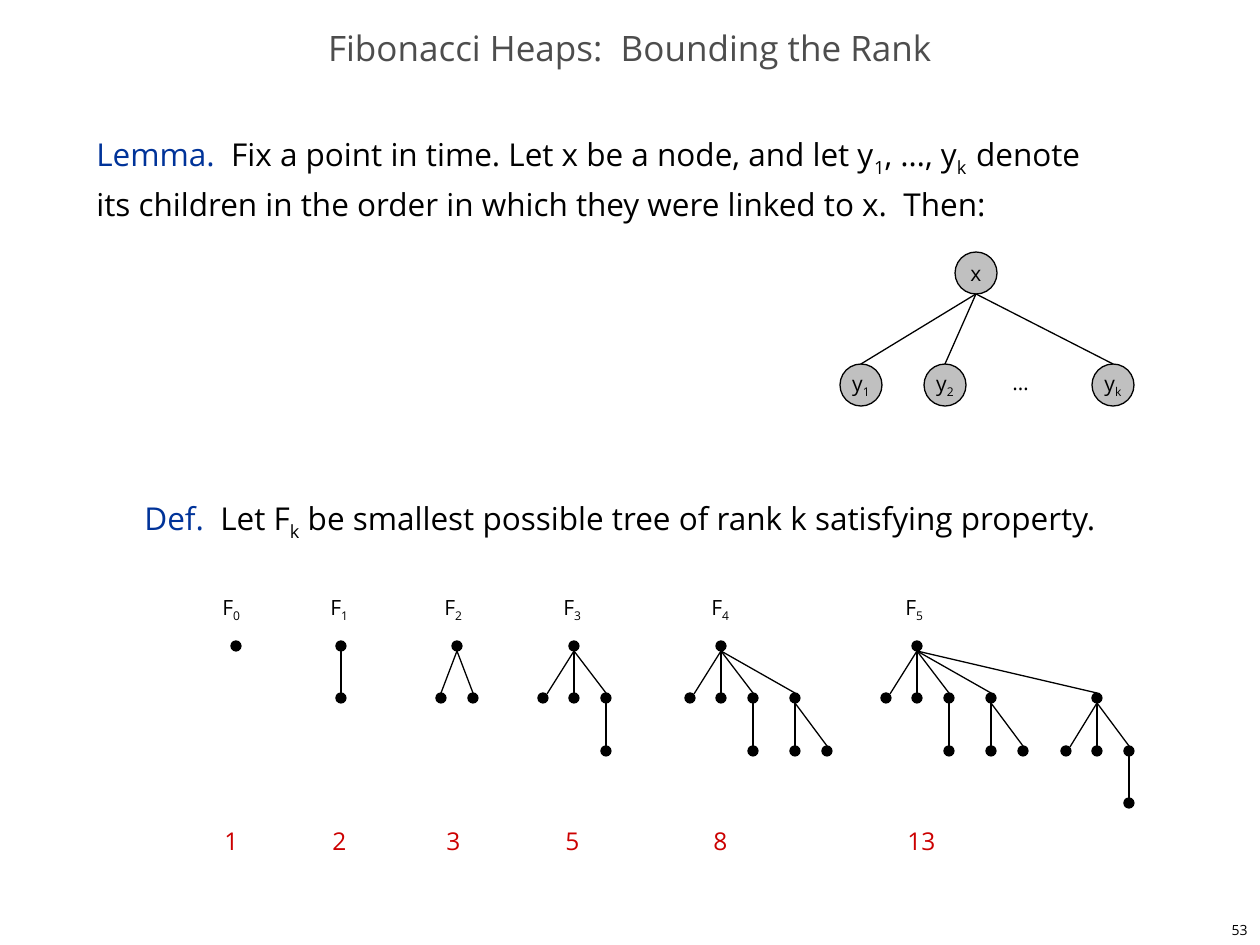
from lxml.etree import SubElement
from pptx import Presentation
from pptx.dml.color import RGBColor
from pptx.enum.shapes import MSO_CONNECTOR as Link, MSO_SHAPE as Kind
from pptx.enum.text import MSO_ANCHOR as Anchor, PP_ALIGN as Align
from pptx.oxml.ns import qn
from pptx.util import Emu, Pt

FONT = "Open Sans"
BLACK, BLUE, RED, GRAY, SILVER = "000000", "003399", "CC0000", "4D4D4D", "C0C0C0"
LEVELS = (646, 698, 751, 803)
OFFSETS = (-31, 0, 32, 74, 180)
DOT, NODE = 5, 21  # radii


def px(n):
    return Emu(round(n * 914400 / 126))


def color(code):
    return RGBColor.from_string(code)


class Board:
    def __init__(self, slide):
        self.shapes = slide.shapes

    def fill(self, para, text, size, ink=BLACK, align=Align.LEFT, lead=""):
        """Fill a paragraph; parts between bars are subscripts, lead is blue."""
        para.alignment = align
        font = para.font
        font.name, font.size = FONT, Pt(size)
        font.color.rgb = color(ink)
        if lead:
            run = para.add_run()
            run.text = lead
            run.font.color.rgb = color(BLUE)
        for i, part in enumerate(text.split("|")):
            for j, line in enumerate(part.split("\n")):
                if j:
                    para.add_line_break()
                if line:
                    run = para.add_run()
                    run.text = line
                    if i % 2:
                        run._r.get_or_add_rPr().set("baseline", "-25000")

    def text(self, x, y, w, h, wrap=False, anchor=Anchor.TOP):
        frame = self.shapes.add_textbox(px(x), px(y), px(w), px(h)).text_frame
        frame.word_wrap = wrap
        frame.vertical_anchor = anchor
        return frame

    def label(self, x, y, w, h, text, size, ink=BLACK):
        self.fill(self.text(x, y, w, h).paragraphs[0], text, size, ink)

    def disc(self, x, y, r, shade):
        """Draw a circle round the centre x, y."""
        disc = self.shapes.add_shape(Kind.OVAL, px(x - r), px(y - r), px(2 * r), px(2 * r))
        disc.shadow.inherit = False
        disc.fill.solid()
        disc.fill.fore_color.rgb = color(shade)
        disc.line.color.rgb = color(BLACK)
        disc.line.width = Pt(0.75)
        return disc

    def node(self, x, y, text):
        frame = self.disc(x, y, NODE, SILVER).text_frame
        frame.word_wrap = False
        frame.vertical_anchor = Anchor.MIDDLE
        self.fill(frame.paragraphs[0], text, 12, align=Align.CENTER)

    def edge(self, x1, y1, x2, y2):
        edge = self.shapes.add_connector(Link.STRAIGHT, px(x1), px(y1), px(x2), px(y2))
        edge.line.color.rgb = color(BLACK)
        edge.line.width = Pt(0.75)
        SubElement(edge._element.spPr, qn("a:effectLst"))

    def tree(self, rank, x, level=0):
        """Draw the smallest tree of a rank; child i has rank i - 2, at least 0."""
        y = LEVELS[level]
        self.disc(x, y, DOT, BLACK)
        if rank > 2:
            steps = OFFSETS[:rank]
        elif rank == 2:
            steps = (0, 32) if level else (-16, 16)
        else:
            steps = (0,) * rank
        for i, step in enumerate(steps):
            self.tree(max(0, i - 1), x + step, level + 1)
            tip = 4 if step == OFFSETS[0] else 0
            self.edge(x, y + DOT, x + step + tip, LEVELS[level + 1] - (tip or DOT))


def main():
    deck = Presentation()
    deck.slide_width, deck.slide_height = px(1260), px(945)
    board = Board(deck.slides.add_slide(deck.slide_layouts[6]))

    number = board.text(998, 914, 262, 31, True, Anchor.MIDDLE)
    board.fill(number.paragraphs[0], "53", 8, align=Align.RIGHT)
    title = board.text(0, 21, 1260, 63, True, Anchor.MIDDLE).paragraphs[0]
    board.fill(title, "Fibonacci Heaps:  Bounding the Rank", 20, GRAY, Align.CENTER)
    title.line_spacing = 0.7

    body = board.text(84, 126, 1144, 746, True)
    lemma, rule = body.paragraphs[0], body.add_paragraph()
    board.fill(lemma, "Fix a point in time. Let x be a node, and let y|1|, …, y|k  |denote\n"
               "its children in the order in which they were linked to x.  Then:",
               18, lead="Lemma.  ")
    board.fill(rule, "Let F|k| be smallest possible tree of rank k satisfying property.",
               18, lead="Def.  ")
    lemma.line_spacing = rule.line_spacing = Pt(26)
    rule.space_before = Pt(156)
    rule._p.get_or_add_pPr().set("marL", str(px(48)))

    top, low = 273, 385
    board.node(976, top, "x")
    for x, name in ((861, "y|1|"), (945, "y|2|"), (1113, "y|k|")):
        board.node(x, low, name)
        board.edge(976, top + NODE, x, low - NODE)
    board.label(1000, 363, 38, 38, "…", 12)

    roots = (236, 341, 457, 574, 721, 917)
    lefts = (210, 318, 432, 551, 699, 893)
    sizes = (1, 2, 3, 5, 8, 13)
    for rank, (root, left, size) in enumerate(zip(roots, lefts, sizes)):
        board.tree(rank, root)
        board.label(left, 588, 45, 42, f"F|{rank}|", 12)
        board.label(left + 2, 820, 54 if size > 9 else 39, 43, str(size), 14, RED)

    deck.save("out.pptx")


if __name__ == "__main__":
    main()
